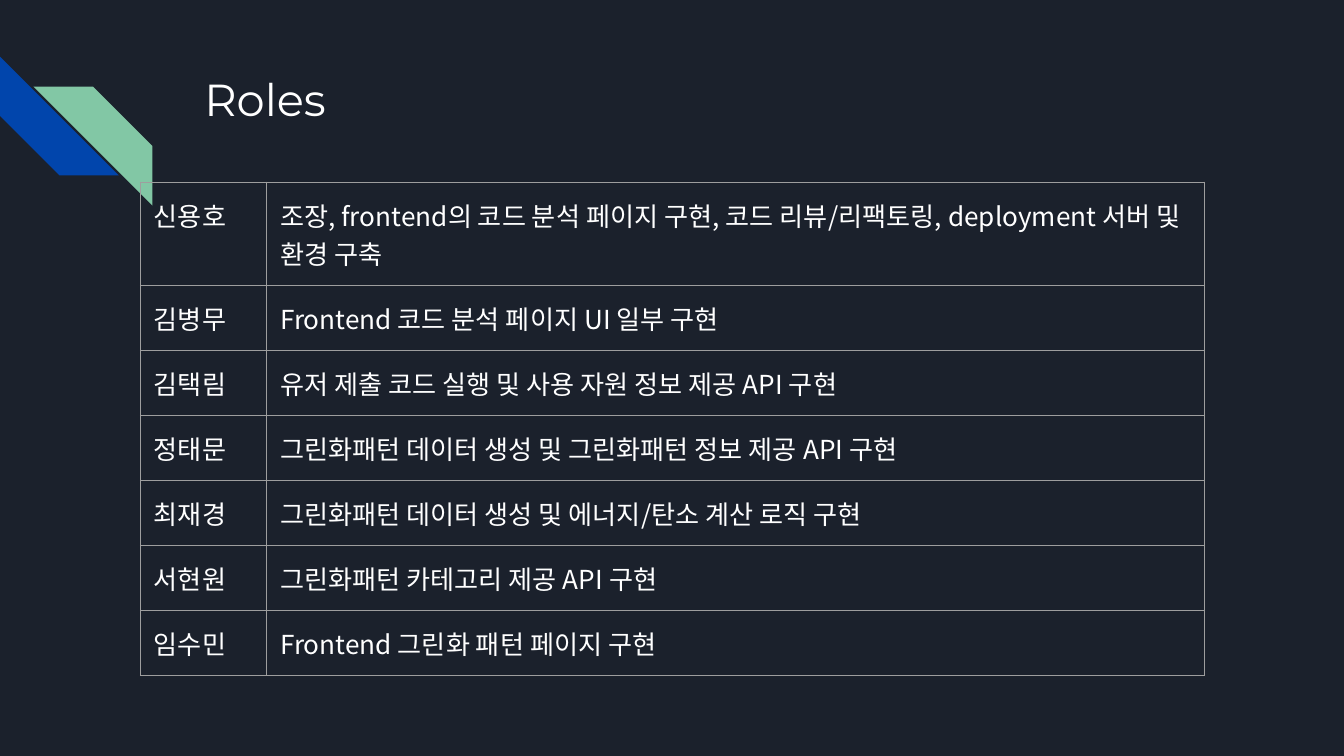
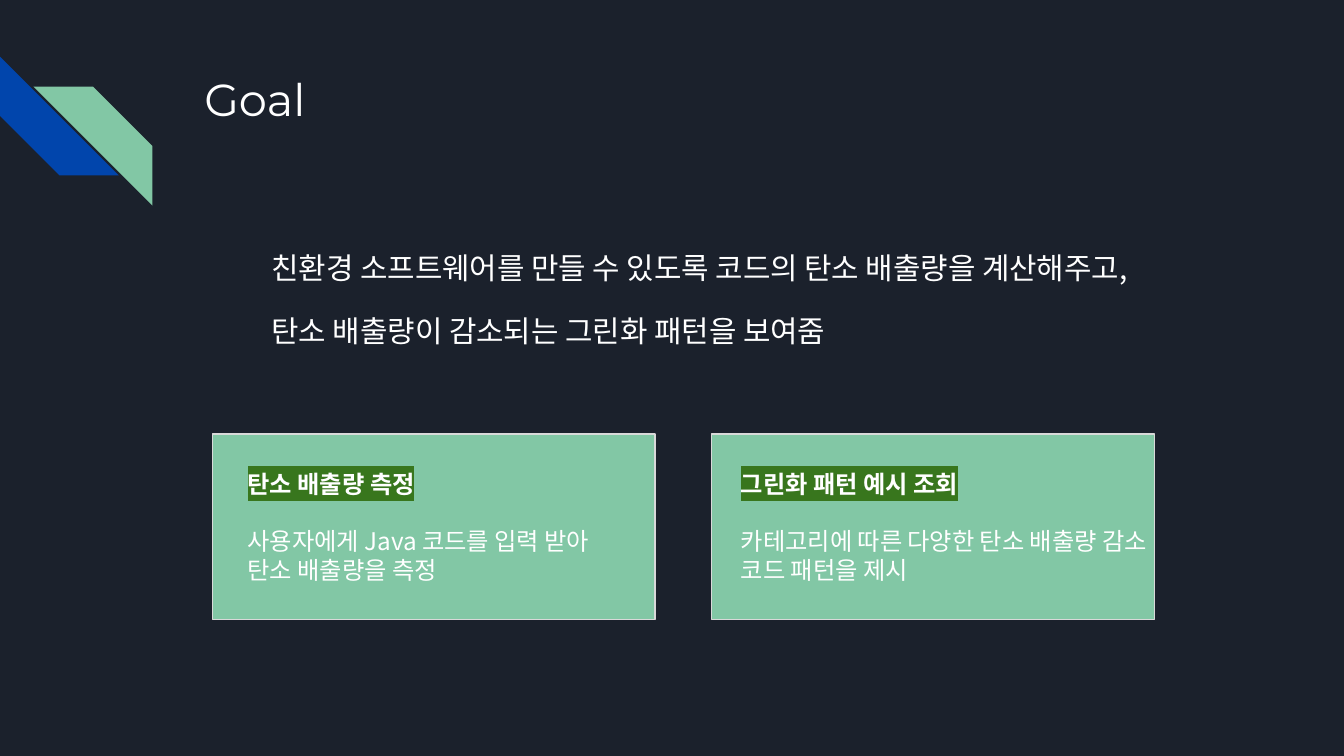
from lxml.etree import SubElement as Sub, Element
from pptx import Presentation
from pptx.dml.color import RGBColor as RGB
from pptx.enum.shapes import MSO_SHAPE as Form
from pptx.enum.text import MSO_ANCHOR as Anchor, MSO_AUTO_SIZE as Fit, PP_ALIGN as Align
from pptx.oxml.ns import qn
from pptx.util import Pt

PX = 4572
NAVY = RGB(0x1B, 0x21, 0x2C)
BLUE = RGB(0x01, 0x45, 0xAC)
MINT = RGB(0x82, 0xC7, 0xA5)
WHITE = RGB(0xFF, 0xFF, 0xFF)
SILVER = RGB(0xD9, 0xD9, 0xD9)
GRAY = RGB(0x9E, 0x9E, 0x9E)
GREEN = RGB(0x38, 0x76, 0x1D)
LATIN = "Montserrat"
HANGUL = "Noto Sans CJK KR"
PAD = 20
TITLE = (284, 87, 1540, 200)
BODY = (284, 343, 1540, 636)
ROLES = [
    ("신용호", "조장, frontend의 코드 분석 페이지 구현, 코드 리뷰/리팩토링, deployment 서버 및 환경 구축"),
    ("김병무", "Frontend 코드 분석 페이지 UI 일부 구현"),
    ("김택림", "유저 제출 코드 실행 및 사용 자원 정보 제공 API 구현"),
    ("정태문", "그린화패턴 데이터 생성 및 그린화패턴 정보 제공 API 구현"),
    ("최재경", "그린화패턴 데이터 생성 및 에너지/탄소 계산 로직 구현"),
    ("서현원", "그린화패턴 카테고리 제공 API 구현"),
    ("임수민", "Frontend 그린화 패턴 페이지 구현"),
]
GOAL = "친환경 소프트웨어를 만들 수 있도록 코드의 탄소 배출량을 계산해주고,\n탄소 배출량이 감소되는 그린화 패턴을 보여줌"
CARDS = [
    (316, 33, 880, "탄소 배출량 측정", "사용자에게 Java 코드를 입력 받아\n탄소 배출량을 측정"),
    (1059, 24, 674, "그린화 패턴 예시 조회", "카테고리에 따른 다양한 탄소 배출량 감소 코드 패턴을 제시"),
]


def scale(*box):
    return [n * PX for n in box]


def style(frame, size, face=HANGUL, bold=False, mark=None):
    for para in frame.paragraphs:
        for run in para.runs:
            font = run.font
            font.size, font.bold = Pt(size), bold
            font.color.rgb = WHITE
            font.name = face
            props = run._r.get_or_add_rPr()
            Sub(props, qn("a:ea"), typeface=face)
            if mark:
                light = Element(qn("a:highlight"))
                Sub(light, qn("a:srgbClr"), val=str(mark))
                props.find(qn("a:latin")).addprevious(light)


def write(shape, text, size, **look):
    frame = shape.text_frame
    frame.text = text
    frame.word_wrap = True
    frame.auto_size = Fit.NONE
    frame.vertical_anchor = Anchor.TOP
    frame.margin_left = frame.margin_right = PAD * PX
    frame.margin_top = frame.margin_bottom = PAD * PX
    for para in frame.paragraphs:
        para.alignment = Align.LEFT
    style(frame, size, **look)
    return frame


def place(shape, box):
    shape.left, shape.top, shape.width, shape.height = scale(*box)


def block(slide, form, box, fill):
    shape = slide.shapes.add_shape(form, *scale(*box))
    shape.shadow.inherit = False
    shape.fill.solid()
    shape.fill.fore_color.rgb = fill
    shape.line.fill.background()
    return shape


def stripes(slide, master, left, top):
    side = 177
    low = block(slide, Form.DIAGONAL_STRIPE, (left, top, side, side), BLUE)
    low.rotation = 270
    high = block(slide, Form.DIAGONAL_STRIPE, (left + 50, top + 45, side, side), MINT)
    high.element.spPr.find(qn("a:xfrm")).set("flipH", "1")
    for num, shape in enumerate((low, high), 101):
        shape.element.nvSpPr.cNvPr.set("id", str(num))
        master.shapes.element.append(shape.element)


def start(deck, kind, text):
    slide = deck.slides.add_slide(deck.slide_layouts[kind])
    title = slide.shapes.title
    place(title, TITLE)
    write(title, text, 24, face=LATIN)
    return slide


def border(cell):
    props = cell._tc.get_or_add_tcPr()
    for side in ("lnL", "lnR", "lnT", "lnB"):
        line = Sub(props, qn("a:" + side), w=str(Pt(0.75)))
        fill = Sub(line, qn("a:solidFill"))
        Sub(fill, qn("a:srgbClr"), val=str(GRAY))


def grid(slide, left, top, widths, high, rows):
    box = scale(left, top, sum(widths), high * len(rows))
    table = slide.shapes.add_table(len(rows), len(widths), *box).table
    table.first_row = table.horz_banding = False
    for col, width in zip(table.columns, widths):
        col.width = width * PX
    for row, texts in zip(table.rows, rows):
        row.height = high * PX
        for cell, text in zip(row.cells, texts):
            cell.text_frame.text = text
            style(cell.text_frame, 14)
            cell.margin_left = cell.margin_right = PAD * PX
            cell.margin_top = cell.margin_bottom = PAD * PX
            border(cell)
            cell.fill.background()


def intro(slide, box, text):
    body = slide.placeholders[1]
    place(body, box)
    frame = write(body, text, 16)
    for num, para in enumerate(frame.paragraphs):
        props = para._p.get_or_add_pPr()
        props.set("marL", str(100 * PX))
        props.set("indent", "0")
        Sub(props, qn("a:buNone"))
        para.line_spacing = 1.15
        para.space_before = para.space_after = Pt(12 * num)


def card(slide, box, inset, width, head, text):
    left, top = box[:2]
    panel = block(slide, Form.RECTANGLE, box, MINT)
    panel.line.color.rgb = SILVER
    panel.line.width = Pt(0.75)
    label = slide.shapes.add_textbox(*scale(left + inset, top + 33, 414, 114))
    write(label, head, 13, bold=True, mark=GREEN)
    note = slide.shapes.add_textbox(*scale(left + inset, top + 117, width, 210))
    write(note, text, 13)


def main():
    deck = Presentation()
    deck.slide_width, deck.slide_height = scale(2000, 1125)
    master = deck.slide_master
    master.background.fill.solid()
    master.background.fill.fore_color.rgb = NAVY

    roles = start(deck, 5, "Roles")
    stripes(roles, master, 0, 84)
    grid(roles, 209, 271, (188, 1395), 84, ROLES)

    goal = start(deck, 1, "Goal")
    intro(goal, BODY, GOAL)
    for left, inset, width, head, text in CARDS:
        card(goal, (left, 646, 659, 276), inset, width, head, text)
    deck.save("out.pptx")


if __name__ == "__main__":
    main()
